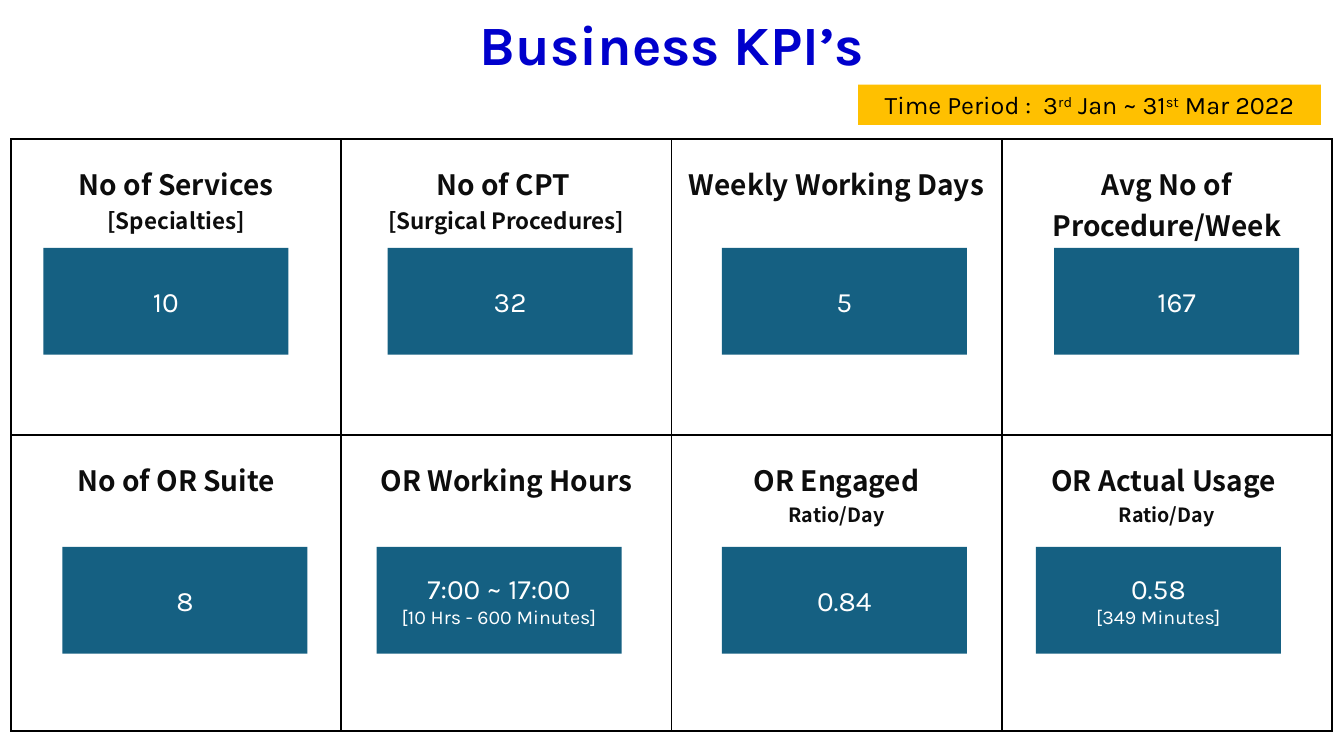
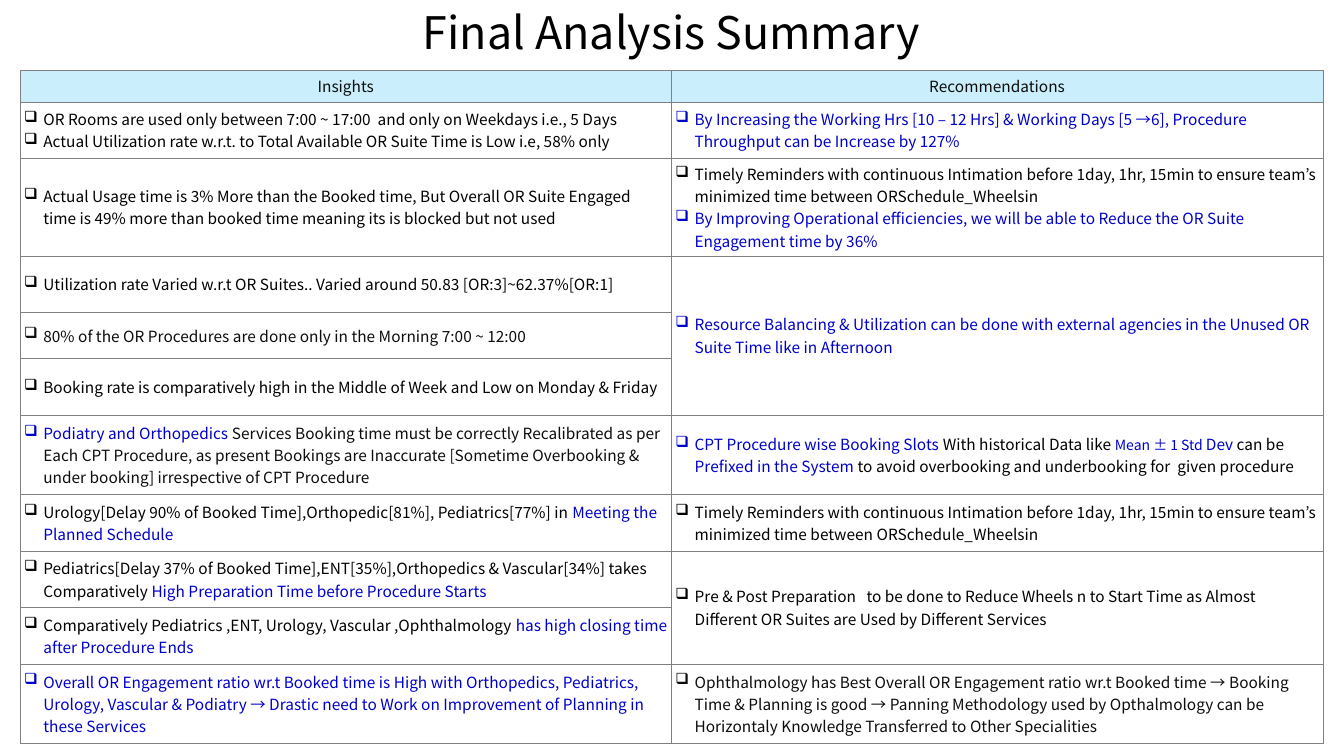
import pptx
import pptx.dml.color
import pptx.enum.shapes
import pptx.enum.text
import pptx.oxml
import pptx.oxml.ns
import pptx.util
from pptx.util import Inches

RGBColor = pptx.dml.color.RGBColor
PP_ALIGN = pptx.enum.text.PP_ALIGN
MIDDLE = pptx.enum.text.MSO_ANCHOR.MIDDLE

BLACK = RGBColor(0x00, 0x00, 0x00)
WHITE = RGBColor(0xFF, 0xFF, 0xFF)
INK = RGBColor(0x0D, 0x0D, 0x0D)
BLUE = RGBColor(0x00, 0x00, 0xCC)
TEAL = RGBColor(0x15, 0x60, 0x82)
AMBER = RGBColor(0xFF, 0xC0, 0x00)
SKY = RGBColor(0xCA, 0xEE, 0xFB)
GREY = RGBColor(0x80, 0x80, 0x80)

KARLA = "Karla"
NOTO = "Noto Sans CJK JP"
BODY_SIZE = 11

TILE_WIDTH, TILE_HEIGHT = 2.43, 1.06
TILE_TOPS = (1.08, 1.11)
KPI_ROWS = [
    [
        ([("No of Services", 20), ("[Specialties]", 16)], [("10", 20)], 0.32),
        ([("No of CPT ", 20), ("[Surgical Procedures]", 16)], [("32", 20)], 0.46),
        ([("Weekly Working Days", 20)], [("5", 20)], 0.5),
        ([("Avg No of Procedure/Week", 20)], [("167", 20)], 0.52),
    ],
    [
        ([("No of OR Suite", 20)], [("8", 20)], 0.51),
        ([("OR Working Hours", 20)],
         [("7:00 ~ 17:00", 20), ("[10 Hrs - 600 Minutes]", 14)], 0.35),
        ([("OR Engaged", 20), ("Ratio/Day", 14)], [("0.84", 20)], 0.5),
        ([("OR Actual Usage ", 20), ("Ratio/Day", 14)],
         [("0.58", 20), ("[349 Minutes]", 14)], 0.34),
    ],
]

PERIOD = [("Time Period :  3", False), ("rd", True), (" Jan ~ 31", False),
          ("st", True), (" Mar 2022", False)]

REMINDERS = [("Timely Reminders with continuous Intimation before 1day, 1hr, 15min to ensure "
              "team’s minimized time between ORSchedule_Wheelsin", BLACK)]

FINDINGS = [
    (0.56,
     [[("OR Rooms are used only between 7:00 ~ 17:00  and only on Weekdays i.e., 5 Days", BLACK)],
      [("Actual Utilization rate w.r.t. to Total Available OR Suite Time is Low i.e, 58% only",
        BLACK)]],
     [[("By Increasing the Working Hrs [10 – 12 Hrs] & Working Days [5 →6], Procedure "
        "Throughput can be Increase by 127%", BLUE)]]),
    (0.56,
     [[("Actual Usage time is 3% More than the Booked time, But Overall OR Suite Engaged time "
        "is 49% more than booked time meaning its is blocked but not used", BLACK)]],
     [REMINDERS,
      [("By Improving Operational efficiencies, we will be able to Reduce the OR Suite "
        "Engagement time by 36%", BLUE)]]),
    (0.56,
     [[("Utilization rate Varied w.r.t OR Suites.. Varied around 50.83 [OR:3]~62.37%[OR:1]",
        BLACK)]],
     [[("Resource Balancing & Utilization can be done with external agencies in the Unused OR "
        "Suite Time like in Afternoon", BLUE)]]),
    (0.46,
     [[("80% of the OR Procedures are done only in the Morning 7:00 ~ 12:00", INK)]],
     None),
    (0.56,
     [[("Booking rate is comparatively high in the Middle of Week and Low on Monday & Friday",
        BLACK)]],
     None),
    (0.79,
     [[("Podiatry and Orthopedics ", BLUE),
       ("Services Booking time must be correctly Recalibrated as per Each CPT Procedure, as "
        "present Bookings are Inaccurate [Sometime Overbooking & under booking] irrespective "
        "of CPT Procedure", INK)]],
     [[("CPT Procedure wise Booking Slots ", BLUE), ("With historical Data like ", BLACK),
       ("Mean ± 1 Std ", BLUE, 10), ("Dev ", BLUE), ("can be ", BLACK),
       ("Prefixed in the System ", BLUE),
       ("to avoid overbooking and underbooking for  given procedure", BLACK)]]),
    (0.56,
     [[("Urology[Delay 90% of Booked Time],Orthopedic[81%], Pediatrics[77%] in ", BLACK),
       ("Meeting the Planned Schedule", BLUE)]],
     [REMINDERS]),
    (0.56,
     [[("Pediatrics[Delay 37% of Booked Time],ENT[35%],Orthopedics & Vascular[34%] takes "
        "Comparatively ", BLACK),
       ("High Preparation Time before Procedure Starts", BLUE)]],
     [[("Pre & Post Preparation   to be done to Reduce Wheels n to Start Time as Almost "
        "Different OR Suites are Used by Different Services", BLACK)]]),
    (0.56,
     [[("Comparatively Pediatrics ,ENT, Urology, Vascular ,Ophthalmology ", BLACK),
       ("has high closing time after Procedure Ends", BLUE)]],
     None),
    (0.79,
     [[("Overall OR Engagement ratio wr.t Booked time is High with Orthopedics, Pediatrics, "
        "Urology, Vascular & Podiatry → Drastic need to Work on Improvement of Planning in "
        "these Services", BLUE)]],
     [[("Ophthalmology has Best Overall OR Engagement ratio wr.t Booked time → Booking Time & "
        "Planning is good → Panning Methodology used by Opthalmology can be Horizontaly "
        "Knowledge Transferred to Other Specialities", INK)]]),
]


def style_run(run, font, size, color, bold=False):
    run.font.name = font
    run.font.size = pptx.util.Pt(size)
    run.font.color.rgb = color
    run.font.bold = bold


def write_lines(frame, lines, font, color, bold=False):
    frame.text = "\n".join(text for text, _ in lines)
    for paragraph, (_, size) in zip(frame.paragraphs, lines):
        paragraph.alignment = PP_ALIGN.CENTER
        for run in paragraph.runs:
            style_run(run, font, size, color, bold)


def write_bullets(frame, bullets):
    for index, spans in enumerate(bullets):
        paragraph = frame.add_paragraph() if index else frame.paragraphs[0]
        properties = paragraph._p.get_or_add_pPr()
        properties.set("marL", str(Inches(0.19)))
        properties.set("indent", str(-Inches(0.19)))
        marker = pptx.oxml.ns.qn("a:buChar")
        properties.append(properties.makeelement(marker, {"char": "❑"}))
        for text, color, *size in spans:
            run = paragraph.add_run()
            run.text = text
            style_run(run, NOTO, size[0] if size else BODY_SIZE, color)


def add_titled_slide(deck, heading, top, font, size, color, bold):
    slide = deck.slides.add_slide(deck.slide_layouts[5])
    title = slide.shapes.title
    title.left, title.top = Inches(0.11), Inches(top)
    title.width, title.height = Inches(13.1), Inches(0.7)
    frame = title.text_frame
    write_lines(frame, [(heading, size)], font, color, bold)
    frame.auto_size = pptx.enum.text.MSO_AUTO_SIZE.NONE
    frame.vertical_anchor = MIDDLE
    frame.paragraphs[0].line_spacing = 0.9
    return slide


def add_block(slide, left, top, width, height, fill):
    block = slide.shapes.add_shape(
        pptx.enum.shapes.MSO_SHAPE.RECTANGLE,
        Inches(left), Inches(top), Inches(width), Inches(height))
    block.shadow.inherit = False
    block.fill.solid()
    block.fill.fore_color.rgb = fill
    block.line.fill.background()
    block.text_frame.vertical_anchor = MIDDLE
    return block.text_frame


def add_grid(slide, left, top, width, columns, row_heights, border, border_width):
    grid = slide.shapes.add_table(
        len(row_heights), columns, Inches(left), Inches(top),
        Inches(width), Inches(sum(row_heights))).table
    grid.first_row = grid.horz_banding = False
    for column in grid.columns:
        column.width = Inches(width / columns)
    for row, height in zip(grid.rows, row_heights):
        row.height = Inches(height)
        for cell in row.cells:
            outline_cell(cell, border, border_width)
            fill_cell(cell, WHITE)
    return grid


def outline_cell(cell, color, width):
    properties = cell._tc.get_or_add_tcPr()
    for side in ("lnL", "lnR", "lnT", "lnB"):
        properties.append(pptx.oxml.parse_xml(
            f'<a:{side} {pptx.oxml.ns.nsdecls("a")} w="{pptx.util.Pt(width)}">'
            f'<a:solidFill><a:srgbClr val="{color}"/></a:solidFill></a:{side}>'))


def fill_cell(cell, color):
    cell.fill.solid()
    cell.fill.fore_color.rgb = color


def set_margins(cell, sides, top, bottom):
    cell.margin_left = cell.margin_right = Inches(sides)
    cell.margin_top, cell.margin_bottom = Inches(top), Inches(bottom)


def add_period_band(slide, left, top, width, height):
    frame = add_block(slide, left, top, width, height, AMBER)
    paragraph = frame.paragraphs[0]
    paragraph.alignment = PP_ALIGN.CENTER
    for text, raised in PERIOD:
        run = paragraph.add_run()
        run.text = text
        style_run(run, KARLA, 18, BLACK)
        if raised:
            run._r.get_or_add_rPr().set("baseline", "30000")


def add_kpi_grid(slide, left, top, width, height):
    row_height = height / len(KPI_ROWS)
    columns = len(KPI_ROWS[0])
    grid = add_grid(slide, left, top, width, columns,
                    [row_height] * len(KPI_ROWS), BLACK, 1.5)
    for row, (kpis, tile_top) in enumerate(zip(KPI_ROWS, TILE_TOPS)):
        for column, (label, value, tile_left) in enumerate(kpis):
            cell = grid.cell(row, column)
            set_margins(cell, 0.1, 0.24, 0.05)
            write_lines(cell.text_frame, label, NOTO, INK, True)
            tile = add_block(slide, left + column * width / columns + tile_left,
                             top + row * row_height + tile_top,
                             TILE_WIDTH, TILE_HEIGHT, TEAL)
            write_lines(tile, value, KARLA, WHITE)


def add_findings_table(slide, left, top, width):
    heights = [0.31] + [height for height, _, _ in FINDINGS]
    grid = add_grid(slide, left, top, width, 2, heights, GREY, 0.25)
    for cell in grid.iter_cells():
        set_margins(cell, 0.04, 0.04, 0.04)
        cell.vertical_anchor = MIDDLE
    for column, heading in enumerate(("Insights", "Recommendations")):
        header = grid.cell(0, column)
        fill_cell(header, SKY)
        write_lines(header.text_frame, [(heading, BODY_SIZE)], NOTO, INK)
    span_start = 1
    for row, (_, insights, recommendations) in enumerate(FINDINGS, 1):
        write_bullets(grid.cell(row, 0).text_frame, insights)
        if recommendations:
            span_start = row
            write_bullets(grid.cell(row, 1).text_frame, recommendations)
        elif row == len(FINDINGS) or FINDINGS[row][2]:
            grid.cell(span_start, 1).merge(grid.cell(row, 1))


def build_kpi_slide(deck):
    slide = add_titled_slide(deck, "Business KPI’s", 0.12, KARLA, 39.6, BLUE, True)
    add_kpi_grid(slide, 0.11, 1.38, 13.1, 5.87)
    add_period_band(slide, 8.51, 0.84, 4.59, 0.4)


def build_summary_slide(deck):
    slide = add_titled_slide(deck, "Final Analysis Summary", 0, NOTO, 32, BLACK, False)
    add_findings_table(slide, 0.2, 0.7, 12.92)


def main():
    deck = pptx.Presentation()
    deck.slide_width, deck.slide_height = Inches(13.33), Inches(7.5)
    build_kpi_slide(deck)
    build_summary_slide(deck)
    deck.save("out.pptx")


if __name__ == "__main__":
    main()
